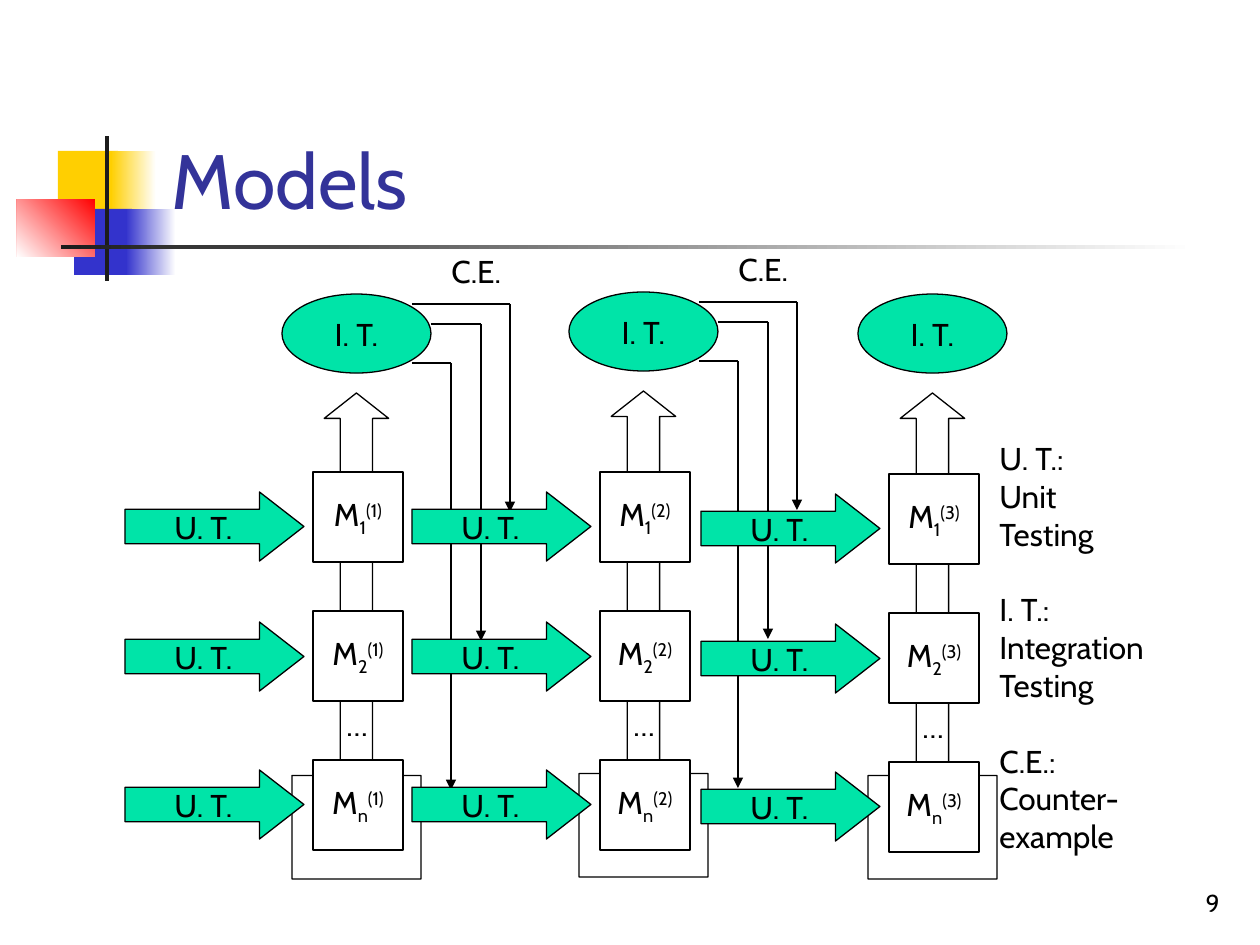
from lxml import etree
from pptx import Presentation
from pptx.dml.color import RGBColor
from pptx.enum.shapes import MSO_CONNECTOR, MSO_SHAPE
from pptx.enum.text import MSO_ANCHOR, PP_ALIGN
from pptx.oxml.ns import qn
from pptx.util import Pt

RECTANGLE, ELLIPSE = MSO_SHAPE.RECTANGLE, MSO_SHAPE.OVAL
RIGHT_ARROW, CALLOUT = MSO_SHAPE.RIGHT_ARROW, MSO_SHAPE.UP_ARROW_CALLOUT
STRAIGHT = MSO_CONNECTOR.STRAIGHT
TOP, MIDDLE, BOTTOM = MSO_ANCHOR.TOP, MSO_ANCHOR.MIDDLE, MSO_ANCHOR.BOTTOM
LEFT, CENTER, RIGHT = PP_ALIGN.LEFT, PP_ALIGN.CENTER, PP_ALIGN.RIGHT

THEME = {
    "font": "Cabin", "title_size": 44, "body_size": 18, "number_size": 14,
    "title": "333399", "ink": "000000", "paper": "FFFFFF", "test": "00E4A8",
    "yellow": "FFCF01", "blue": "3333CC", "red": "FF0000", "bar": "1C1C1C",
    "line": 0.74, "gap": 21.6,
}

# Content
TITLE = "Models"
PAGE_NUMBER = "9"
LEGEND = [("U. T.:", "Unit", "Testing"),
          ("I. T.:", "Integration", "Testing"),
          ("C.E.:", "Counter-", "example")]
MODELS = ["1", "2", "n"]
# (version, left, top of the integration test, shift of the model rows)
STAGES = [("(1)", 282, 294, 0), ("(2)", 569, 292, 0), ("(3)", 858, 294, 2)]
MODEL_TOPS = [472, 611, 760]
UNIT_TEST_TOPS = [492, 622, 770]
# Counterexample paths, relative to the ellipse: start x, y, turn x, end y
FEEDBACK = [(130, 10, 228, 218), (149, 30, 199, 347), (130, 69, 169, 496)]
# (left, top, width, height, start colour, end colour, angle)
DECORATION = [
    (58, 151, 60, 66, "yellow", None, 0),
    (111, 151, 45, 66, "paper", "yellow", 180),
    (74, 209, 58, 66, "blue", None, 0),
    (126, 209, 50, 66, "paper", "blue", 180),
    (17, 199, 78, 58, "red", "paper", 225),
    (105, 136, 4, 145, "bar", None, 0),
    (61, 245, 1134, 4, "paper", "bar", 180),
]


def px(value):
    return round(value * 914400 / 126)


def color(name):
    return RGBColor.from_string(THEME[name])


deck = Presentation()
deck.slide_width, deck.slide_height = px(1260), px(945)
page = deck.slides.add_slide(deck.slide_layouts[5])


def style(para, size="body_size", ink="ink", align=LEFT):
    para.alignment = align
    para.font.name = THEME["font"]
    para.font.size = Pt(THEME[size])
    para.font.color.rgb = color(ink)


def write(box, spans, align=LEFT, anchor=TOP, wrap=False, size="body_size"):
    """Spans are (text, baseline) pairs of one paragraph."""
    frame = box.text_frame
    frame.word_wrap = wrap
    frame.vertical_anchor = anchor
    para = frame.paragraphs[0]
    style(para, size, align=align)
    for text, baseline in spans:
        span = para.add_run()
        span.text = text
        if baseline:
            span.font._element.set("baseline", str(baseline * 1000))


def add_text(text, *place, **options):
    box = page.shapes.add_textbox(*map(px, place))
    write(box, [(text, 0)], **options)


def add_shape(kind, place, fill, adjust=(), spans=(), outlined=True):
    shape = page.shapes.add_shape(kind, *map(px, place))
    shape.shadow.inherit = False
    shape.fill.solid()
    shape.fill.fore_color.rgb = color(fill)
    if outlined:
        shape.line.color.rgb = color("ink")
        shape.line.width = Pt(THEME["line"])
    else:
        shape.line.fill.background()
    for index, value in enumerate(adjust):
        shape.adjustments[index] = value
    if spans:
        write(shape, spans, align=CENTER, anchor=MIDDLE)
    return shape


def add_line(x1, y1, x2, y2, arrow=False):
    connector = page.shapes.add_connector(STRAIGHT, *map(px, (x1, y1, x2, y2)))
    connector.line.color.rgb = color("ink")
    connector.line.width = Pt(THEME["line"])
    if arrow:
        etree.SubElement(connector.line._get_or_add_ln(), qn("a:tailEnd"), type="triangle")
    etree.SubElement(connector._element.spPr, qn("a:effectLst"))


# Decoration
for *place, start, end, angle in DECORATION:
    block = add_shape(RECTANGLE, place, start, outlined=False)
    if end:
        block.fill.gradient()
        block.fill.gradient_angle = angle
        for stop, name in zip(block.fill.gradient_stops, (start, end)):
            stop.color.rgb = color(name)

# Title, in front of the decoration
title = page.shapes.title
title.left, title.top, title.width, title.height = map(px, (159, 29, 1074, 202))
title.text_frame.text = TITLE
title.text_frame.vertical_anchor = BOTTOM
style(title.text_frame.paragraphs[0], "title_size", "title")
page.shapes._spTree.append(title._element)

# Counterexamples, fed from each stage to the next
for _, left, top, _ in STAGES[:-1]:
    for start_x, start_y, turn_x, end_y in FEEDBACK:
        x, y = left + turn_x, top + start_y
        add_line(left + start_x, y, x, y)
        add_line(x, y, x, top + end_y, arrow=True)
    add_text("C.E.", left + 157, top - 48, 79, 50)

# Stages: integration test above models, unit tests on the left
for version, left, top, shift in STAGES:
    add_shape(CALLOUT, (left + 10, top + 99, 129, 486), "paper", (0.251, 0.25, 0.197, 0.213))
    add_shape(ELLIPSE, (left, top, 149, 79), "test", spans=[("I. T.", 0)])
    for model, model_top, test_top in zip(MODELS, MODEL_TOPS, UNIT_TEST_TOPS):
        add_shape(RECTANGLE, (left + 31, model_top + shift, 90, 90), "paper",
                  spans=[("M", 0), (model, -25), (version, 30)])
        add_shape(RIGHT_ARROW, (left - 157, test_top + shift, 179, 69), "test",
                  (0.5, 0.644), [("U. T.", 0)])
    add_text("…", left + 52, 699 + shift, 50, 50)

# Legend
legend = page.shapes.add_textbox(*map(px, (987, 433, 319, 428)))
legend.text_frame.word_wrap = True
legend.text_frame.text = "\n".join(line for entry in LEGEND for line in entry)
for index, para in enumerate(legend.text_frame.paragraphs):
    style(para)
    if index and index % len(LEGEND[0]) == 0:
        para.space_before = Pt(THEME["gap"])

# Page number
add_text(PAGE_NUMBER, 970, 861, 262, 63, align=RIGHT, anchor=BOTTOM, wrap=True, size="number_size")

deck.save("out.pptx")
